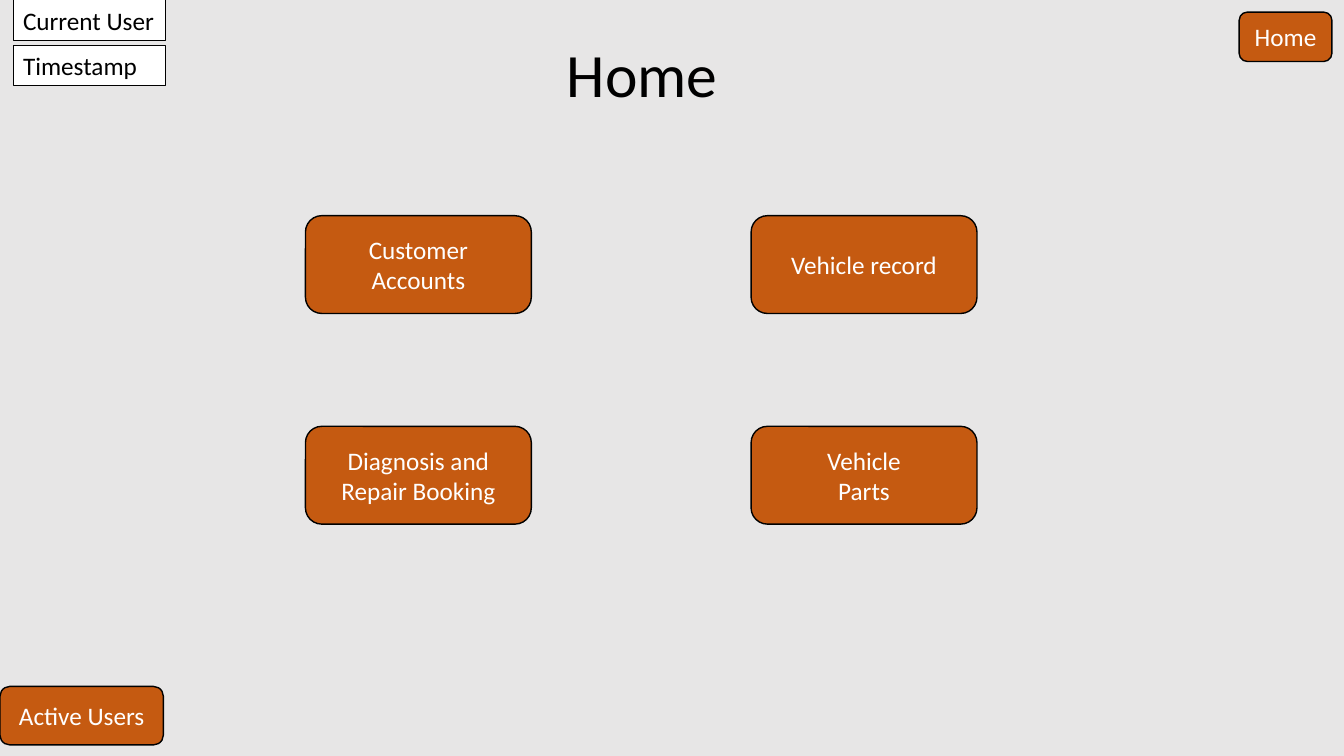
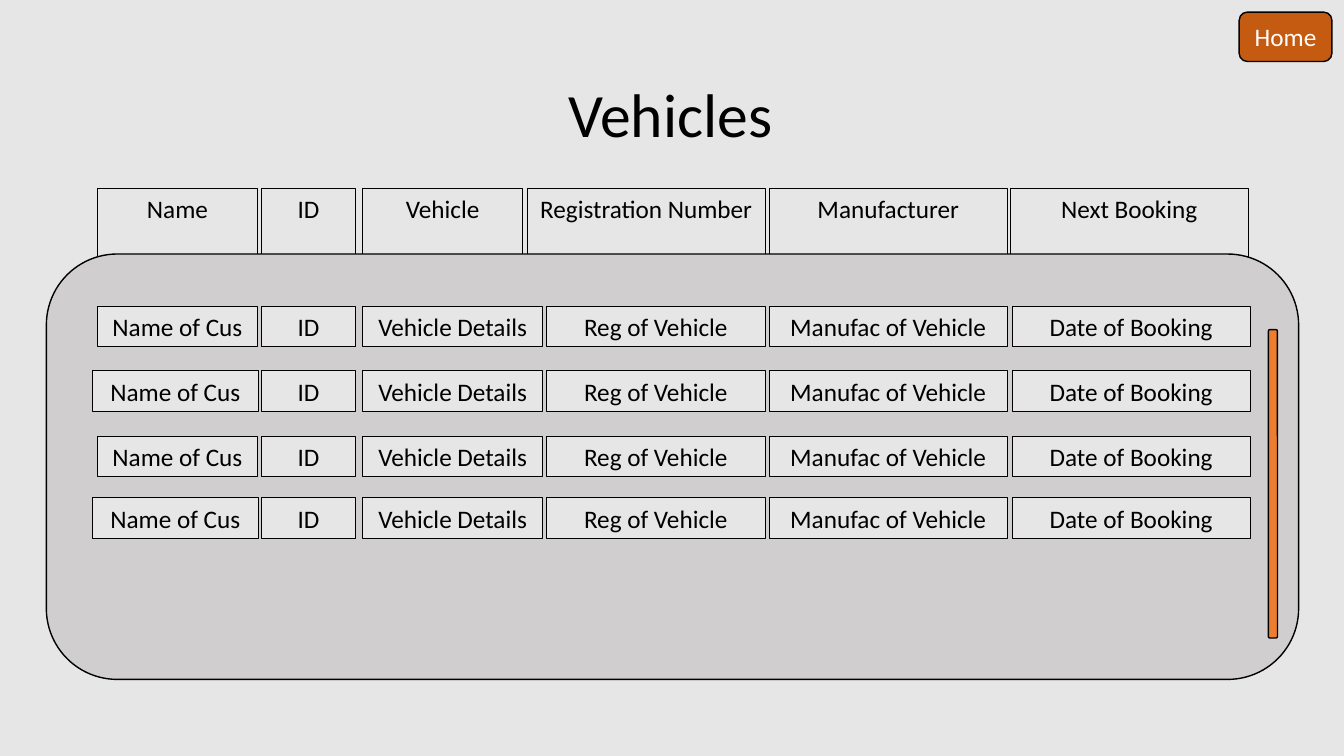
from dataclasses import dataclass
from itertools import product

from pptx import Presentation
from pptx.dml.color import RGBColor as Rgb
from pptx.enum.shapes import MSO_SHAPE as Preset
from pptx.enum.text import MSO_ANCHOR as Anchor, PP_ALIGN as Align
from pptx.util import Inches, Pt


@dataclass(frozen=True)
class Theme:
    """Colours, font, type sizes and line widths."""
    font: str = "Calibri"
    page: str = "E7E6E6"
    panel: str = "D0CECE"
    button: str = "C55A11"
    scrollbar: str = "ED7D31"
    ink: str = "000000"
    paper: str = "FFFFFF"
    title_size: float = 44
    body_size: float = 18
    thin: float = 0.75
    medium: float = 1


def write(shape, text, size, color, align=Align.CENTER, anchor=Anchor.MIDDLE,
          font=Theme.font, spacing=None):
    """Fill a shape with text, one paragraph for each line."""
    frame = shape.text_frame
    frame.word_wrap = True
    frame.vertical_anchor = anchor
    frame.text = text
    for paragraph in frame.paragraphs:
        paragraph.alignment = align
        paragraph.line_spacing = spacing
        paragraph.font.name = font
        paragraph.font.size = Pt(size)
        paragraph.font.color.rgb = Rgb.from_string(color)


class Screens:
    """Draws the app screens in one shared style."""

    def __init__(self, theme):
        """Open a wide deck with a common background."""
        self.theme = theme
        self.deck = Presentation()
        self.deck.slide_width = Inches(13.33)
        self.deck.slide_height = Inches(7.5)
        background = self.deck.slide_master.background.fill
        background.solid()
        background.fore_color.rgb = Rgb.from_string(theme.page)
        self.slide = None

    def start(self, title, left, top, width, height):
        """Add a screen with its title and the Home button."""
        self.slide = self.deck.slides.add_slide(self.deck.slide_layouts[5])
        heading = self.slide.shapes.title
        heading.left, heading.top = Inches(left), Inches(top)
        heading.width, heading.height = Inches(width), Inches(height)
        write(heading, title, self.theme.title_size, self.theme.ink, spacing=0.9)
        self.button("Home", 12.29, 0.12, 0.92, 0.49)

    def outline(self, preset, left, top, width, height, fill, weight):
        """Add a filled shape with a dark outline."""
        shape = self.slide.shapes.add_shape(
            preset, Inches(left), Inches(top), Inches(width), Inches(height))
        shape.shadow.inherit = False
        shape.fill.solid()
        shape.fill.fore_color.rgb = Rgb.from_string(fill)
        shape.line.color.rgb = Rgb.from_string(self.theme.ink)
        shape.line.width = Pt(weight)
        return shape

    def rounded(self, left, top, width, height, fill):
        """Add a rounded block."""
        return self.outline(Preset.ROUNDED_RECTANGLE, left, top, width, height,
                            fill, self.theme.medium)

    def button(self, label, left, top, width, height):
        """Add a rounded button with a white label."""
        shape = self.rounded(left, top, width, height, self.theme.button)
        write(shape, label, self.theme.body_size, self.theme.paper)

    def field(self, label, left, top, width, height=0.4, fill=Theme.page,
              align=Align.CENTER):
        """Add a thin-edged box with its label at the top."""
        shape = self.outline(Preset.RECTANGLE, left, top, width, height,
                             fill, self.theme.thin)
        write(shape, label, self.theme.body_size, self.theme.ink,
              align=align, anchor=Anchor.TOP)


def home_screen(screens):
    """Draw the menu of the four main areas."""
    screens.start("Home", 4.15, 0.2, 4.44, 1.14)
    for label, top in (("Current User", 0), ("Timestamp", 0.45)):
        screens.field(label, 0.13, top, 1.51, fill=screens.theme.paper,
                      align=Align.LEFT)
    areas = ("Customer Accounts", "Vehicle record",
             "Diagnosis and Repair Booking", "Vehicle\nParts")
    for area, (top, left) in zip(areas, product((2.14, 4.23), (3.03, 7.45))):
        screens.button(area, left, top, 2.24, 0.97)
    screens.button("Active Users", 0, 6.81, 1.62, 0.58)


def vehicles_screen(screens):
    """Draw the scrolling list of vehicles."""
    screens.start("Vehicles", 0.9, 0.44, 11.5, 1.45)
    headers = (("Name", 0.97, 1.58), ("ID", 2.59, 0.94),
               ("Vehicle", 3.6, 1.58), ("Registration Number", 5.23, 2.36),
               ("Manufacturer", 7.63, 2.36), ("Next Booking", 10.02, 2.36))
    for label, left, width in headers:
        screens.field(label, left, 1.87, width, height=0.71)

    screens.rounded(0.46, 2.52, 12.42, 4.22, screens.theme.panel)
    screens.rounded(12.58, 3.27, 0.09, 3.06, screens.theme.scrollbar)

    details = (("ID", 2.59, 0.94), ("Vehicle Details", 3.6, 1.78),
               ("Reg of Vehicle", 5.42, 2.17),
               ("Manufac of Vehicle", 7.63, 2.36),
               ("Date of Booking", 10.04, 2.36))
    name_spans = ((0.97, 1.58), (0.92, 1.64))
    for row, top in enumerate((3.04, 3.68, 4.33, 4.94)):
        name_left, name_width = name_spans[row % 2]
        screens.field("Name of Cus", name_left, top, name_width)
        for label, left, width in details:
            screens.field(label, left, top, width)


screens = Screens(Theme())
home_screen(screens)
vehicles_screen(screens)
screens.deck.save("out.pptx")
